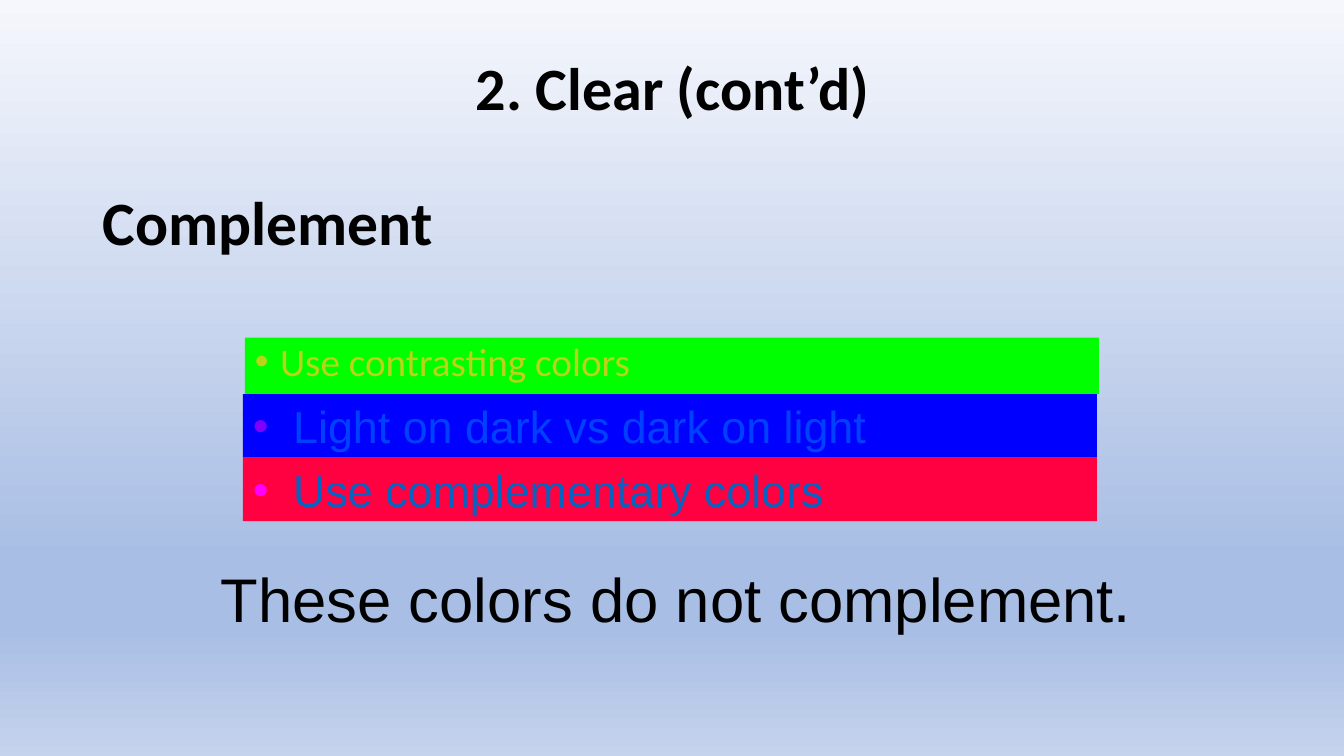
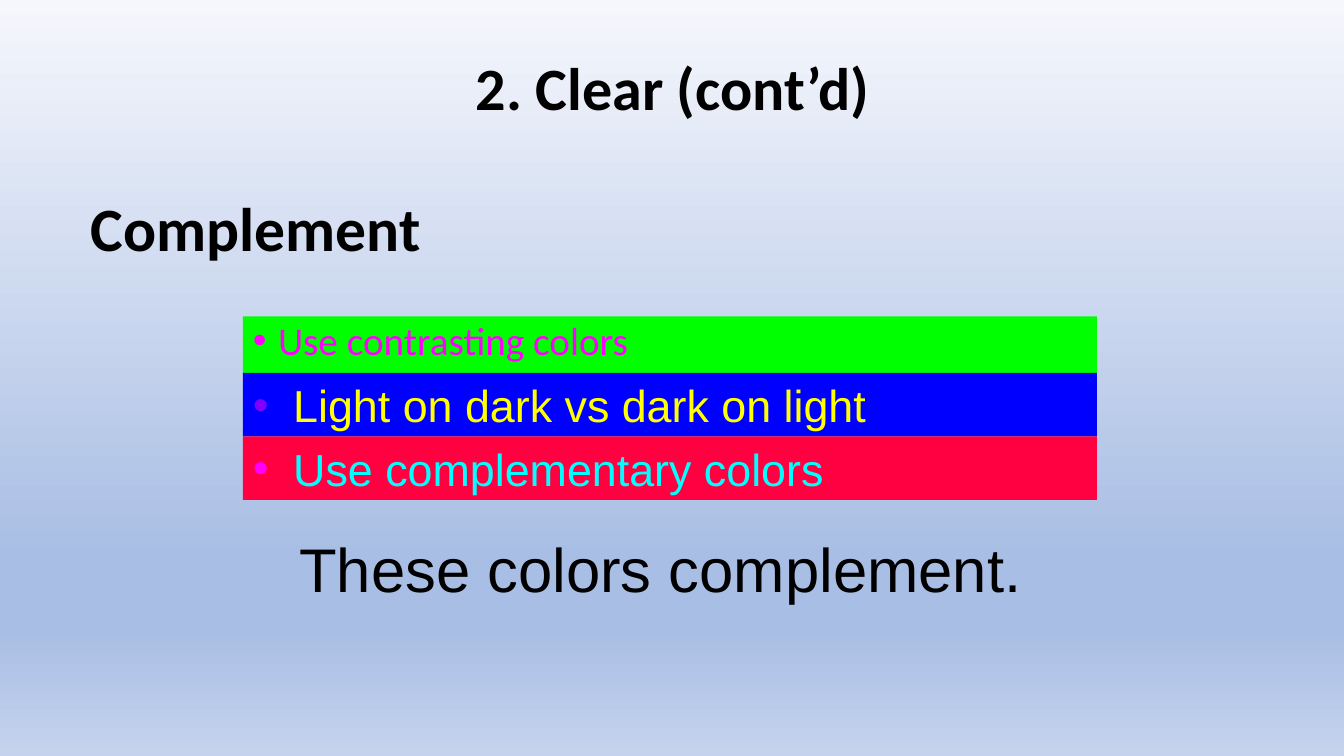
from dataclasses import dataclass

from lxml.etree import SubElement
from pptx import Presentation
from pptx.dml.color import RGBColor
from pptx.enum.shapes import MSO_SHAPE
from pptx.enum.text import MSO_ANCHOR, MSO_AUTO_SIZE, PP_ALIGN
from pptx.oxml.ns import qn
from pptx.util import Inches, Pt

# Shared colours
BLACK = RGBColor(0x00, 0x00, 0x00)
GREEN = RGBColor(0x00, 0xFF, 0x00)
BLUE = RGBColor(0x00, 0x00, 0xFF)
RED = RGBColor(0xFF, 0x00, 0x40)
OLIVE = RGBColor(0xBA, 0xD4, 0x1A)
MAGENTA = RGBColor(0xFF, 0x00, 0xFF)
VIOLET = RGBColor(0x7F, 0x00, 0xFF)
AZURE = RGBColor(0x00, 0x40, 0xFF)
LINK_BLUE = RGBColor(0x05, 0x63, 0xC1)
YELLOW = RGBColor(0xFF, 0xFF, 0x00)
CYAN = RGBColor(0x00, 0xFF, 0xFF)
PALE = RGBColor(0xF5, 0xF7, 0xFC)
PERIWINKLE = RGBColor(0xA9, 0xBE, 0xE4)
LIGHT_BLUE = RGBColor(0xC5, 0xD3, 0xED)
BACKGROUND_STOPS = [(0, PALE), (74, PERIWINKLE), (83, PERIWINKLE), (100, LIGHT_BLUE)]

HEADING_FONT = "Calibri"
BODY_FONT = "Arial"
BAND_LEFT = 2.41
BAND_WIDTH = 8.47


@dataclass
class Band:
    text: str
    fill: RGBColor
    height: float
    font: str
    size: int
    indent: float
    spacing: float


BANDS = [
    Band("Use contrasting colors", GREEN, 0.56, HEADING_FONT, 28, 0.25, 0.9),
    Band("Light on dark vs dark on light", BLUE, 0.63, BODY_FONT, 32, 0.4, 1.0),
    Band("Use complementary colors", RED, 0.63, BODY_FONT, 32, 0.4, 1.0),
]


def set_background(master):
    """Give every slide the vertical gradient through the master."""
    fill = master.background.fill
    fill.gradient()
    fill.gradient_angle = 270
    stops = master.element.find(".//" + qn("a:gsLst"))
    for stop in list(stops):
        stops.remove(stop)
    for percent, color in BACKGROUND_STOPS:
        stop = SubElement(stops, qn("a:gs"), pos=str(percent * 1000))
        SubElement(stop, qn("a:srgbClr"), val=str(color))


def place(shape, left, top, width, height):
    shape.left, shape.top = Inches(left), Inches(top)
    shape.width, shape.height = Inches(width), Inches(height)


def write(shape, text, font, size, color, bold=False, align=PP_ALIGN.LEFT,
          anchor=MSO_ANCHOR.TOP, spacing=1.0, bullet=None):
    """Fill a shape with one formatted paragraph; bullet is (colour, indent)."""
    frame = shape.text_frame
    frame.word_wrap = True
    frame.auto_size = MSO_AUTO_SIZE.NONE
    frame.vertical_anchor = anchor
    frame.text = text
    paragraph = frame.paragraphs[0]
    paragraph.alignment = align
    paragraph.line_spacing = spacing
    if bullet:
        add_bullet(paragraph, *bullet)
    paragraph.font.name = font
    paragraph.font.size = Pt(size)
    paragraph.font.bold = bold
    paragraph.font.color.rgb = color


def add_bullet(paragraph, color, indent):
    properties = paragraph._p.get_or_add_pPr()
    properties.set("marL", str(Inches(indent)))
    properties.set("indent", str(-Inches(indent)))
    bullet_color = SubElement(properties, qn("a:buClr"))
    SubElement(bullet_color, qn("a:srgbClr"), val=str(color))
    SubElement(properties, qn("a:buFont"), typeface=BODY_FONT)
    SubElement(properties, qn("a:buChar"), char="•")


def add_text(slide, text, box, *style, **options):
    shape = slide.shapes.add_textbox(*map(Inches, box))
    write(shape, text, *style, **options)


def add_bands(slide, top, first_left, text_colors, bullet_colors):
    """Stack the coloured bands without gaps."""
    lefts = (first_left, BAND_LEFT, BAND_LEFT)
    for band, left, color, bullet_color in zip(BANDS, lefts, text_colors, bullet_colors):
        shape = slide.shapes.add_shape(
            MSO_SHAPE.RECTANGLE, *map(Inches, (left, top, BAND_WIDTH, band.height)))
        shape.shadow.inherit = False
        shape.fill.solid()
        shape.fill.fore_color.rgb = band.fill
        shape.line.fill.background()
        write(shape, band.text, band.font, band.size, color,
              spacing=band.spacing, bullet=(bullet_color, band.indent))
        top += band.height


def add_complement_slide(presentation, heading_at, bands_top, first_left,
                         text_colors, bullet_colors, caption, caption_box):
    slide = presentation.slides.add_slide(presentation.slide_layouts[5])
    # Title and heading
    title = slide.shapes.title
    place(title, 1.67, 0.29, 10, 1.22)
    write(title, "2. Clear (cont’d)", HEADING_FONT, 42.9, BLACK, bold=True,
          align=PP_ALIGN.CENTER, anchor=MSO_ANCHOR.MIDDLE, spacing=0.9)
    add_text(slide, "Complement", (*heading_at, 11.5, 1.45), HEADING_FONT, 44, BLACK,
             bold=True, anchor=MSO_ANCHOR.MIDDLE, spacing=0.9)
    # Colour samples and verdict
    add_bands(slide, bands_top, first_left, text_colors, bullet_colors)
    add_text(slide, caption, caption_box, BODY_FONT, 44, BLACK)


def main():
    presentation = Presentation()
    presentation.slide_width = Inches(13.33)
    presentation.slide_height = Inches(7.5)
    set_background(presentation.slide_master)

    # Clashing colours
    add_complement_slide(
        presentation, (0.92, 1.51), 3.35, 2.43,
        (OLIVE, AZURE, LINK_BLUE), (OLIVE, VIOLET, MAGENTA),
        "These colors do not complement.", (2.09, 5.52, 9.68, 0.84))
    # Complementary colours
    add_complement_slide(
        presentation, (0.8, 1.57), 3.14, BAND_LEFT,
        (MAGENTA, YELLOW, CYAN), (MAGENTA, VIOLET, MAGENTA),
        "These colors complement.", (2.87, 5.22, 7.44, 0.84))

    presentation.save("out.pptx")


if __name__ == "__main__":
    main()
